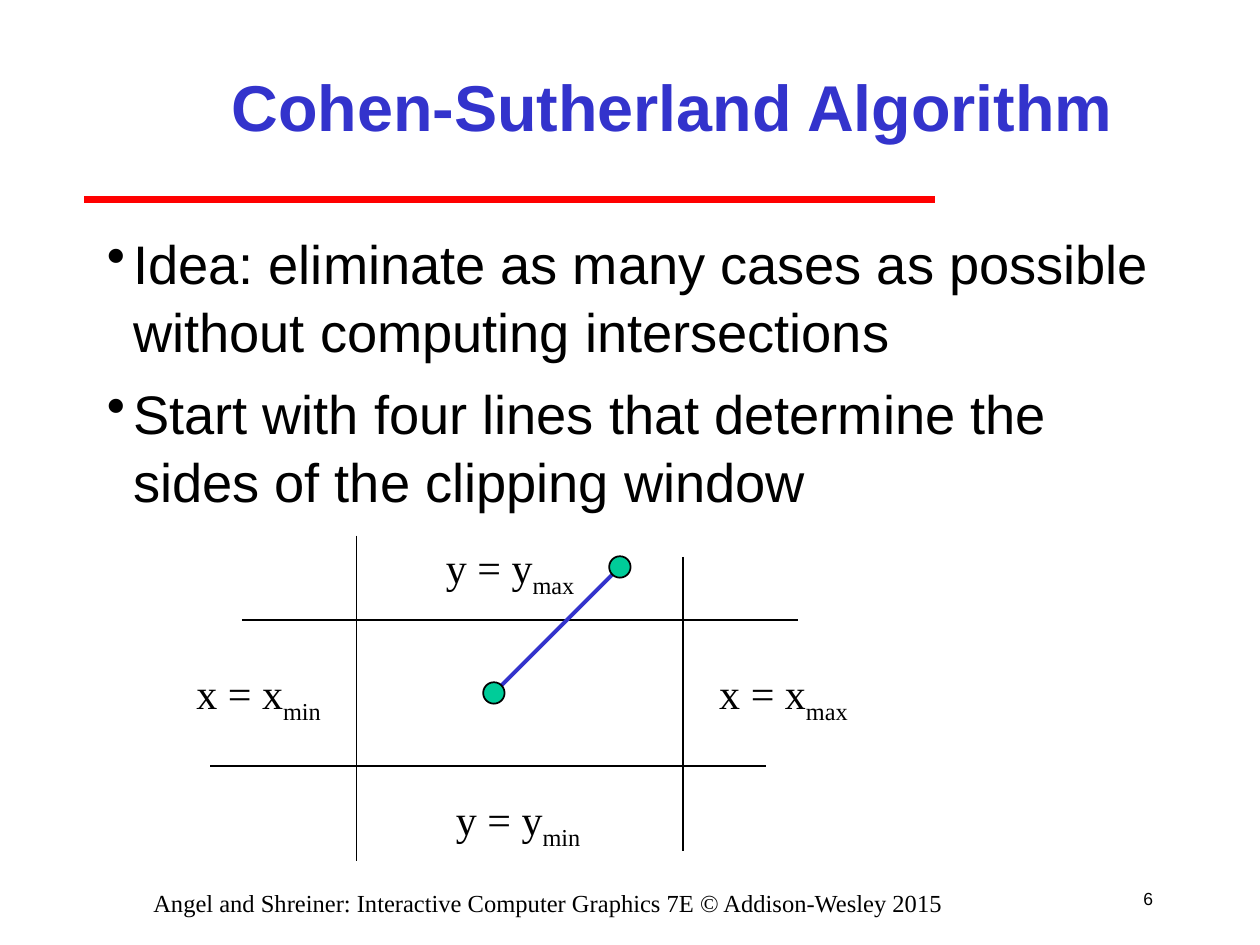
import pptx
import pptx.util
import pptx.dml.color
import pptx.enum.shapes
import pptx.enum.text
import pptx.oxml
import pptx.oxml.ns

Inches, Pt = pptx.util.Inches, pptx.util.Pt
ALIGN = pptx.enum.text.PP_ALIGN
ANCHOR = pptx.enum.text.MSO_ANCHOR

COLORS = {"black": "000000", "blue": "3333CC", "red": "FF0000", "green": "00CC99"}


class SlideBuilder:
    sans, serif = "Arial", "Times New Roman"

    def __init__(self, prs):
        self.s = prs.slides.add_slide(prs.slide_layouts[5])

    def color(self, name):
        return pptx.dml.color.RGBColor.from_string(COLORS[name])

    def run(self, p, text, size, font, color="black", bold=False):
        r = p.add_run()
        r.text = text
        r.font.size, r.font.name, r.font.bold = Pt(size), font, bold
        r.font.color.rgb = self.color(color)
        return r

    def title(self, text, left, top, width, height):
        sp = self.s.shapes.title
        sp.left, sp.top = Inches(left), Inches(top)
        sp.width, sp.height = Inches(width), Inches(height)
        tf = sp.text_frame
        tf.vertical_anchor = ANCHOR.MIDDLE
        p = tf.paragraphs[0]
        p.alignment = ALIGN.CENTER
        self.run(p, text, 37, self.sans, "blue", True)

    def box(self, left, top, width, height, wrap=True, anchor=ANCHOR.TOP):
        sp = self.s.shapes.add_textbox(
            Inches(left), Inches(top), Inches(width), Inches(height))
        tf = sp.text_frame
        tf.word_wrap, tf.vertical_anchor = wrap, anchor
        return tf

    def text(self, text, at, size, font, align, **options):
        p = self.box(*at, **options).paragraphs[0]
        p.alignment = align
        self.run(p, text, size, font)

    def bullets(self, items, *at):
        tf = self.box(*at)
        for i, item in enumerate(items):
            p = tf.add_paragraph() if i else tf.paragraphs[0]
            pPr = p._p.get_or_add_pPr()
            pPr.set("marL", str(Inches(0.21)))
            pPr.set("indent", str(-Inches(0.21)))
            bullet = pptx.oxml.parse_xml(
                f'<a:buChar {pptx.oxml.ns.nsdecls("a")} char="•"/>')
            pPr.append(bullet)
            p.line_spacing = 1.05
            if i:
                p.space_before = Pt(7.7)
            self.run(p, item, 31, self.sans)

    def label(self, axis, limit, left, top, width):
        tf = self.box(left, top, width, 0.56, wrap=False)
        tf.auto_size = pptx.enum.text.MSO_AUTO_SIZE.SHAPE_TO_FIT_TEXT
        p = tf.paragraphs[0]
        self.run(p, f"{axis} = {axis}", 24, self.serif)
        r = self.run(p, limit, 24, self.serif)
        r.font._element.set("baseline", "-25000")

    def line(self, x1, y1, x2, y2, color="black", width=1):
        c = self.s.shapes.add_connector(
            pptx.enum.shapes.MSO_CONNECTOR.STRAIGHT,
            Inches(x1), Inches(y1), Inches(x2), Inches(y2))
        c.line.color.rgb = self.color(color)
        c.line.width = Pt(width)
        c._element.spPr.append(pptx.oxml.parse_xml(
            f'<a:effectLst {pptx.oxml.ns.nsdecls("a")}/>'))

    def dot(self, x, y, size=0.17):
        sp = self.s.shapes.add_shape(
            pptx.enum.shapes.MSO_SHAPE.OVAL, Inches(x - size / 2),
            Inches(y - size / 2), Inches(size), Inches(size))
        sp.shadow.inherit = False
        sp.fill.solid()
        sp.fill.fore_color.rgb = self.color("green")
        sp.line.color.rgb = self.color("black")
        sp.line.width = Pt(1)


def main():
    prs = pptx.Presentation()
    prs.slide_width, prs.slide_height = Inches(10), Inches(7.5)
    b = SlideBuilder(prs)

    # Heading with its rule, and page number
    b.line(0.67, 1.58, 7.42, 1.58, "red", 4)
    b.text("6", (8.83, 6.92, 0.42, 0.42), 10, b.sans, ALIGN.RIGHT,
           wrap=False, anchor=ANCHOR.MIDDLE)
    b.title("Cohen-Sutherland Algorithm", 1.5, 0.25, 7.67, 1.17)

    # Main points
    b.bullets(["Idea: eliminate as many cases as possible without computing intersections",
               "Start with four lines that determine the sides of the clipping window"],
              0.75, 1.75, 8.5, 5.17)

    # Lines bounding the clipping window
    for x, top, bottom in [(5.42, 4.42, 6.75), (2.83, 4.25, 6.83)]:
        b.line(x, top, x, bottom)
    for y, left, right in [(4.92, 1.92, 6.33), (6.08, 1.67, 6.08)]:
        b.line(left, y, right, y)

    # Labels of the bounds
    b.label("x", "max", 5.61, 5.25, 1.22)
    b.label("x", "min", 1.46, 5.25, 1.19)
    b.label("y", "max", 3.44, 4.25, 1.22)
    b.label("y", "min", 3.52, 6.25, 1.19)

    # Segment to clip, with its end points
    start, end = (3.92, 5.5), (4.92, 4.5)
    b.line(*start, *end, "blue", 2.25)
    for point in (end, start):
        b.dot(*point)

    # Footer
    b.text("Angel and Shreiner: Interactive Computer Graphics 7E © Addison-Wesley 2015 ",
           (0.5, 7, 7.75, 0.33), 14, b.serif, ALIGN.CENTER)

    prs.save("out.pptx")


if __name__ == "__main__":
    main()
